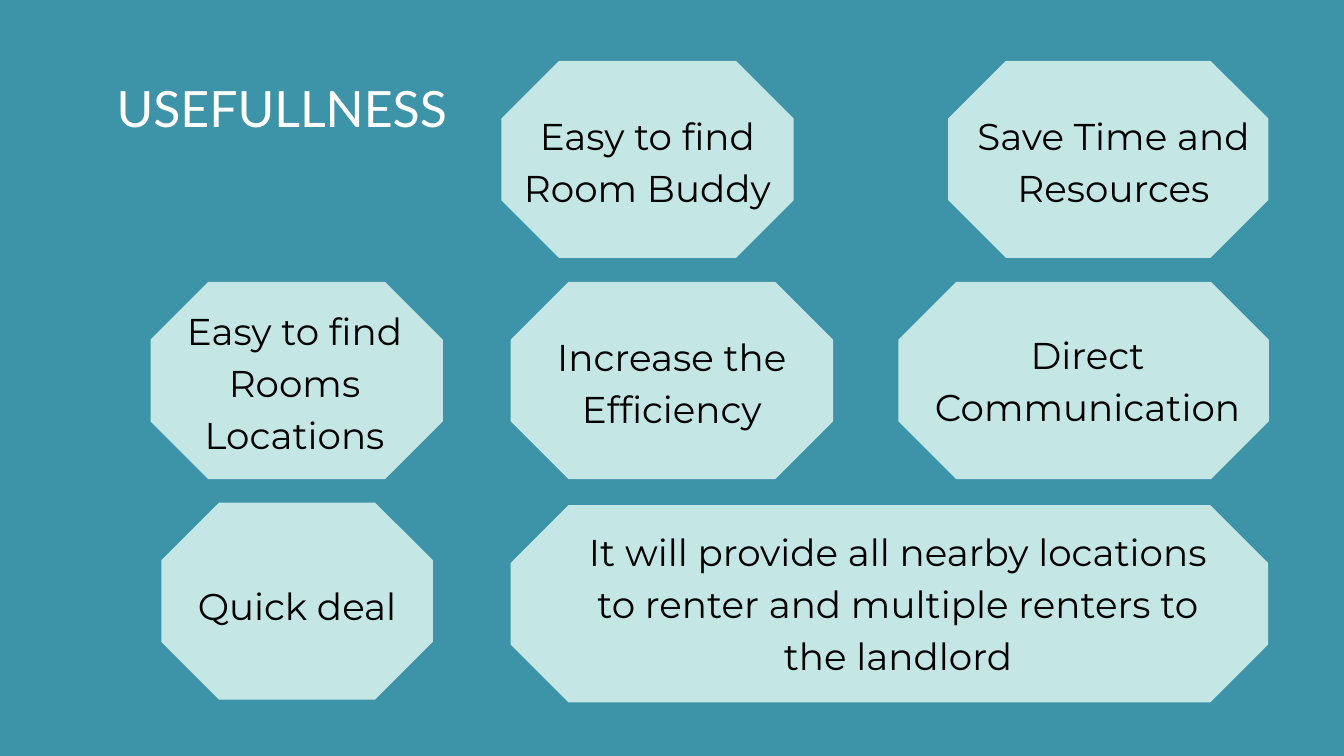
from pptx import Presentation
from pptx.dml.color import RGBColor
from pptx.enum import shapes, text
from pptx.util import Cm, Pt

COLORS = {"background": "3D93A7", "card": "C4E6E5", "title": "FFFFFF", "label": "000000"}
TITLE_FORMAT = {"name": "Lato", "size": Pt(53.6), "bold": False}
LABEL_FORMAT = {"name": "Montserrat", "size": Pt(39.9), "bold": False}

CARD_HEIGHT = 7.45
FIRST_LINE, NEXT_LINE = 1.88, 1.96
TOP_ROW, MIDDLE_ROW, BOTTOM_ROW = 2.3, 10.66, 19.0

# Label, left, top, width, label width, label lines, label shift from the card centre (cm)
CARDS = [
    ("Easy to find Room Buddy", 18.95, TOP_ROW, 11.05, 9.73, 2, (0, -0.1)),
    ("Save Time and Resources", 35.84, TOP_ROW, 12.1, 10.74, 2, (0.2, -0.1)),
    ("Easy to find Rooms Locations", 5.69, MIDDLE_ROW, 11.05, 9.73, 3, (-0.08, -0.12)),
    ("Increase the Efficiency", 19.3, MIDDLE_ROW, 12.19, 9.32, 2, (0, -0.1)),
    ("Direct Communication", 33.96, MIDDLE_ROW, 14, 12.52, 2, (0.15, -0.2)),
    ("Quick deal", 6.1, BOTTOM_ROW, 10.26, 7.75, 1, (0, 0)),
    ("It will provide all nearby locations to renter and multiple renters to the landlord",
     19.3, BOTTOM_ROW + 0.1, 28.63, 23.55, 3, (0.33, -0.2)),
]


def write(shape, wording, font_format, color, line_spacing):
    frame = shape.text_frame
    frame_format = {
        "word_wrap": True,
        "auto_size": text.MSO_AUTO_SIZE.SHAPE_TO_FIT_TEXT,
        "vertical_anchor": text.MSO_ANCHOR.TOP,
        "margin_left": 0, "margin_top": 0, "margin_right": 0, "margin_bottom": 0,
    }
    for name, value in frame_format.items():
        setattr(frame, name, value)
    paragraph = frame.paragraphs[0]
    paragraph.alignment = text.PP_ALIGN.CENTER
    paragraph.line_spacing = Pt(line_spacing)
    paragraph.space_before = Pt(0)
    run = paragraph.add_run()
    run.text = wording
    for name, value in font_format.items():
        setattr(run.font, name, value)
    run.font.color.rgb = RGBColor.from_string(COLORS[color])


def add_title(slide, left, top, width, height):
    title = slide.shapes.title
    box = {"left": left, "top": top, "width": width, "height": height}
    for name, value in box.items():
        setattr(title, name, Cm(value))
    write(title, "USEFULLNESS", TITLE_FORMAT, "title", 75)


def add_card(slide, wording, left, top, width, label_width, lines, shift):
    """Draw an octagon and set its label around the centre."""
    octagon = slide.shapes.add_shape(
        shapes.MSO_SHAPE.OCTAGON, Cm(left), Cm(top), Cm(width), Cm(CARD_HEIGHT))
    octagon.shadow.inherit = False
    octagon.fill.solid()
    octagon.fill.fore_color.rgb = RGBColor.from_string(COLORS["card"])
    octagon.line.fill.background()

    label_height = FIRST_LINE + (lines - 1) * NEXT_LINE
    label_left = left + (width - label_width) / 2 + shift[0]
    label_top = top + (CARD_HEIGHT - label_height) / 2 + shift[1]
    label = slide.shapes.add_textbox(
        Cm(label_left), Cm(label_top), Cm(label_width), Cm(label_height))
    write(label, wording, LABEL_FORMAT, "label", 55.9)


def main():
    presentation = Presentation()
    presentation.slide_width, presentation.slide_height = Cm(50.8), Cm(28.58)
    slide = presentation.slides.add_slide(presentation.slide_layouts.get_by_name("Title Only"))
    background = slide.background.fill
    background.solid()
    background.fore_color.rgb = RGBColor.from_string(COLORS["background"])
    add_title(slide, 2.61, 2.54, 16.1, 2.59)
    for card in CARDS:
        add_card(slide, *card)
    presentation.save("out.pptx")


if __name__ == "__main__":
    main()
